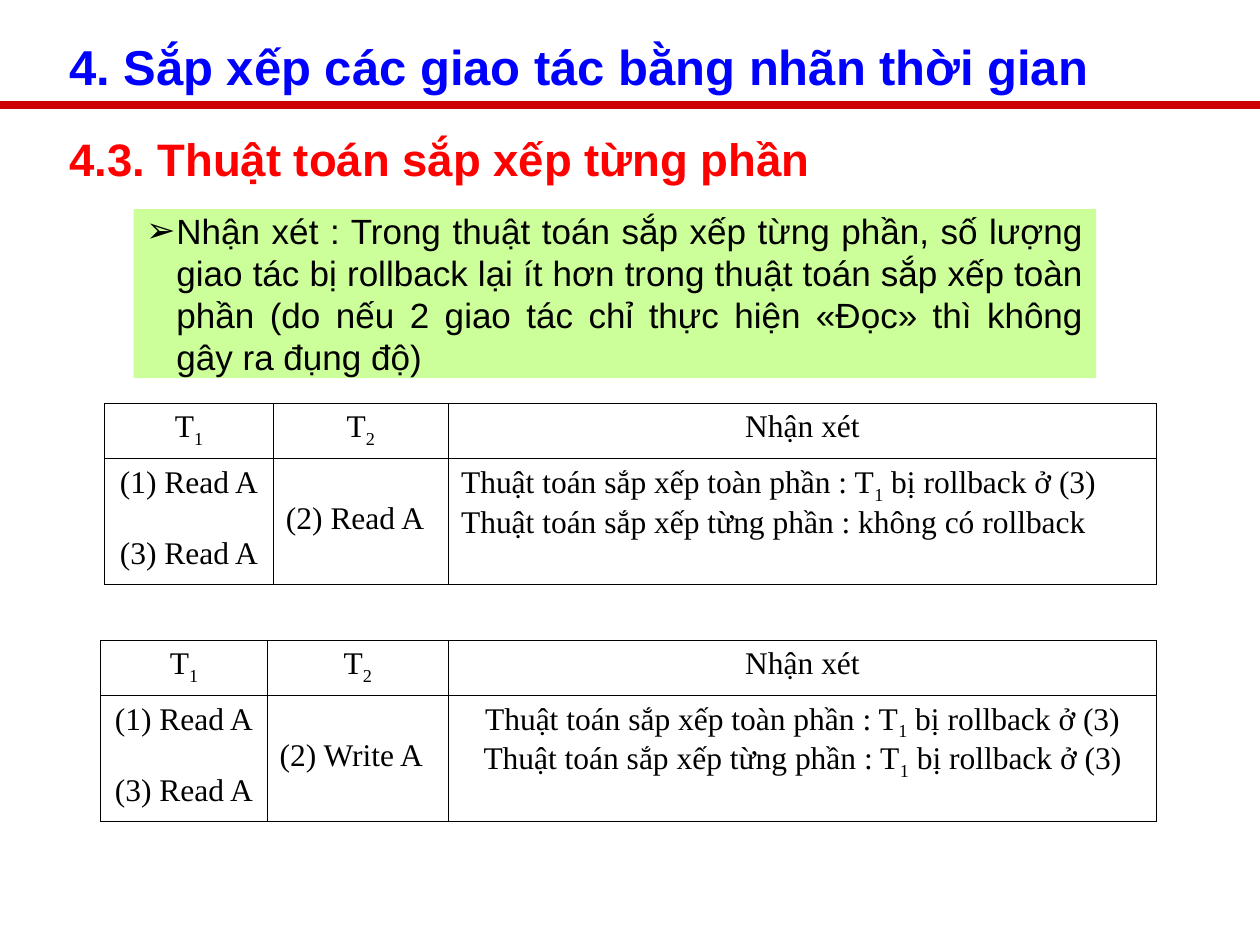
"""Build the slide on partial timestamp ordering of transactions."""
from lxml import etree
from pptx import Presentation
from pptx.dml.color import RGBColor
from pptx.enum import shapes, text
from pptx.oxml.ns import qn
from pptx.util import Inches, Pt

THEME = {
    "title": {"font": "Arial", "size": 28, "color": "0000FF", "bold": True},
    "subtitle": {"font": "Arial", "size": 26, "color": "FF0000", "bold": True},
    "remark": {"font": "Arial", "size": 20, "color": "000000"},
    "cell": {"font": "Times New Roman", "size": 18, "color": "000000"},
    "rule": "CC0000",
    "panel": "CCFF99",
    "border": "000000",
}
LEFT, CENTER, JUSTIFY = text.PP_ALIGN.LEFT, text.PP_ALIGN.CENTER, text.PP_ALIGN.JUSTIFY
CELL_LINE = 20.7

TITLE = "4. Sắp xếp các giao tác bằng nhãn thời gian"
SUBTITLE = "4.3. Thuật toán sắp xếp từng phần"
REMARK = (
    "Nhận xét : Trong thuật toán sắp xếp từng phần, số lượng giao tác bị rollback "
    "lại ít hơn trong thuật toán sắp xếp toàn phần (do nếu 2 giao tác chỉ thực "
    "hiện «Đọc» thì không gây ra đụng độ)"
)
HEADERS = ["T_1", "T_2", "Nhận xét"]
FIRST_STEPS = ["(1) Read A", "(3) Read A"]
FULL_ORDER = "Thuật toán sắp xếp toàn phần : T_1 bị rollback ở (3)"
SCHEDULES = [
    {
        "left": 0.83, "top": 3.2, "columns": [1.34, 1.39, 5.62], "align": LEFT,
        "second": "(2) Read A",
        "remarks": [FULL_ORDER, "Thuật toán sắp xếp từng phần : không có rollback"],
    },
    {
        "left": 0.8, "top": 5.08, "columns": [1.32, 1.44, 5.62], "align": CENTER,
        "second": "(2) Write A",
        "remarks": [FULL_ORDER, "Thuật toán sắp xếp từng phần : T_1 bị rollback ở (3)"],
    },
]
ROW_HEIGHTS = [0.44, 1]


def add_run(paragraph, words, style, subscript=False):
    """Add one run in the given style."""
    run = paragraph.add_run()
    run.text = words
    run.font.name = style["font"]
    run.font.size = Pt(style["size"])
    run.font.bold = style.get("bold", False)
    run.font.color.rgb = RGBColor.from_string(style["color"])
    if subscript:
        run._r.get_or_add_rPr().set("baseline", "-25000")


def write(frame, lines, style, align=LEFT, gap=0, bullet=None, indent=0):
    """Write paragraphs, where an underscore marks the next character as subscript."""
    for index, line in enumerate(lines):
        paragraph = frame.paragraphs[0] if index == 0 else frame.add_paragraph()
        paragraph.alignment = align
        paragraph.space_before = Pt(gap if index else 0)
        if bullet:
            properties = paragraph._p.get_or_add_pPr()
            properties.set("marL", str(Inches(indent)))
            properties.set("indent", str(-Inches(indent)))
            etree.SubElement(properties, qn("a:buChar")).set("char", bullet)
        head, *tails = line.split("_")
        add_run(paragraph, head, style)
        for tail in tails:
            add_run(paragraph, tail[0], style, subscript=True)
            if tail[1:]:
                add_run(paragraph, tail[1:], style)


def place(shape, left, top, width, height, wrap=True, anchor=text.MSO_ANCHOR.MIDDLE):
    """Position a text shape and set up its frame."""
    shape.left, shape.top = Inches(left), Inches(top)
    shape.width, shape.height = Inches(width), Inches(height)
    frame = shape.text_frame
    frame.auto_size = text.MSO_AUTO_SIZE.SHAPE_TO_FIT_TEXT
    frame.word_wrap = wrap
    frame.vertical_anchor = anchor
    return frame


def add_borders(cell):
    """Draw a thin line on every side of a cell."""
    properties = cell._tc.get_or_add_tcPr()
    for index, side in enumerate(("lnL", "lnR", "lnT", "lnB")):
        line = etree.Element(qn(f"a:{side}"), w=str(Pt(0.45)))
        fill = etree.SubElement(line, qn("a:solidFill"))
        etree.SubElement(fill, qn("a:srgbClr"), val=THEME["border"])
        properties.insert(index, line)


def add_schedule(slide, schedule):
    """Add one schedule table with its remarks."""
    columns = schedule["columns"]
    frame = slide.shapes.add_table(
        len(ROW_HEIGHTS), len(columns), Inches(schedule["left"]), Inches(schedule["top"]),
        Inches(sum(columns)), Inches(sum(ROW_HEIGHTS)))
    table = frame.table
    for column, width in zip(table.columns, columns):
        column.width = Inches(width)
    for row, height in zip(table.rows, ROW_HEIGHTS):
        row.height = Inches(height)
    for cell in table.iter_cells():
        cell.fill.background()
        add_borders(cell)
    style = THEME["cell"]
    for index, header in enumerate(HEADERS):
        write(table.cell(0, index).text_frame, [header], style, align=CENTER)
    first, second, remarks = (table.cell(1, index) for index in range(3))
    write(first.text_frame, FIRST_STEPS, style, align=CENTER, gap=CELL_LINE)
    second.margin_top = Inches(0.05) + Pt(CELL_LINE)
    write(second.text_frame, [schedule["second"]], style)
    write(remarks.text_frame, schedule["remarks"], style, align=schedule["align"])


def main():
    """Create and save the presentation."""
    presentation = Presentation()
    presentation.slide_width, presentation.slide_height = Inches(10), Inches(7.5)
    slide = presentation.slides.add_slide(presentation.slide_layouts[1])

    rule = slide.shapes.add_connector(
        shapes.MSO_CONNECTOR.STRAIGHT, 0, Inches(0.83), Inches(10), Inches(0.83))
    rule.line.color.rgb = RGBColor.from_string(THEME["rule"])
    rule.line.width = Pt(4.5)
    etree.SubElement(rule._element.spPr, qn("a:effectLst"))

    title = place(slide.shapes.title, 0.45, 0.24, 8.39, 0.57, wrap=False)
    write(title, [TITLE], THEME["title"])

    subtitle = place(slide.shapes.add_textbox(0, 0, 0, 0), 0.45, 0.99, 6.09, 0.54,
                     wrap=False, anchor=text.MSO_ANCHOR.TOP)
    write(subtitle, [SUBTITLE], THEME["subtitle"])

    panel = slide.placeholders[1]
    panel.fill.solid()
    panel.fill.fore_color.rgb = RGBColor.from_string(THEME["panel"])
    write(place(panel, 1.06, 1.61, 7.64, 1.44), [REMARK], THEME["remark"],
          align=JUSTIFY, bullet="➢", indent=0.24)

    for schedule in SCHEDULES:
        add_schedule(slide, schedule)
    presentation.save("out.pptx")


if __name__ == "__main__":
    main()
